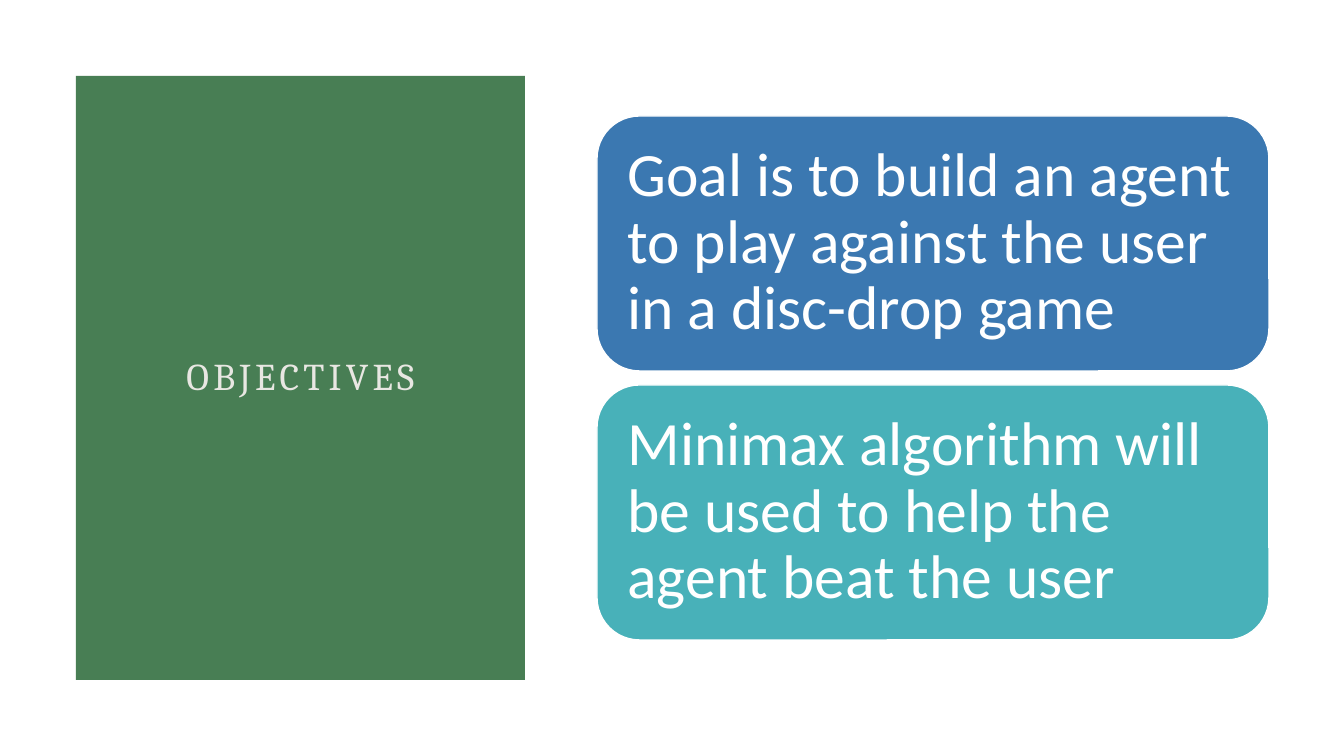
from pptx import Presentation
from pptx.dml.color import RGBColor
from pptx.enum.shapes import MSO_SHAPE
from pptx.enum.text import MSO_ANCHOR, MSO_AUTO_SIZE, PP_ALIGN
from pptx.util import Pt

COLORS = {"panel": "487E54", "title": "E8E7E2", "white": "FFFFFF",
          "blue": "3B78B1", "teal": "48B1B9"}
TITLE = "OBJECTIVES"
OBJECTIVES = [
    ("Goal is to build an agent to play against the user in a disc-drop game", "blue"),
    ("Minimax algorithm will be used to help the agent beat the user", "teal"),
]

EMU_PER_PX = 914400 / 100.8
SLIDE_W, SLIDE_H = 1344, 756
PANEL = (76, 76, 449, 604)
TITLE_PAD = 75
CARD_X, CARD_W, CARD_H, CARD_GAP = 597, 672, 255, 14
CARD_INSET = 18


def px(length):
    """Turn slide pixels into EMU."""
    return round(length * EMU_PER_PX)


def rgb(name):
    """Look up a named colour."""
    return RGBColor.from_string(COLORS[name])


def add_block(slide, shape_type, box, fill):
    """Add a flat filled shape without outline or shadow."""
    shape = slide.shapes.add_shape(shape_type, *map(px, box))
    shape.shadow.inherit = False
    shape.fill.solid()
    shape.fill.fore_color.rgb = rgb(fill)
    shape.line.fill.background()
    return shape


def write(frame, text, font, size, color, align):
    """Write one vertically centred paragraph and return its run."""
    frame.word_wrap = True
    frame.auto_size = MSO_AUTO_SIZE.NONE
    frame.vertical_anchor = MSO_ANCHOR.MIDDLE
    paragraph = frame.paragraphs[0]
    paragraph.alignment = align
    paragraph.line_spacing = 0.9
    run = paragraph.add_run()
    run.text = text
    run.font.name = font
    run.font.size = Pt(size)
    run.font.color.rgb = rgb(color)
    return run


def add_title(slide):
    """Place the title placeholder over its green panel."""
    panel = add_block(slide, MSO_SHAPE.RECTANGLE, PANEL, "panel")
    title = slide.shapes.title
    panel._element.addnext(title._element)
    x, y, w, h = PANEL
    title.left, title.top = px(x + TITLE_PAD), px(y + TITLE_PAD)
    title.width, title.height = px(w - 2 * TITLE_PAD), px(h - 2 * TITLE_PAD)
    run = write(title.text_frame, TITLE, "Cambria", 27, "title", PP_ALIGN.CENTER)
    run.font._element.set("spc", "300")


def add_card(slide, top, text, fill):
    """Add one rounded objective card."""
    card = add_block(slide, MSO_SHAPE.ROUNDED_RECTANGLE,
                     (CARD_X, top, CARD_W, CARD_H), fill)
    card.line.color.rgb = rgb("white")
    card.line.width = Pt(1)
    frame = card.text_frame
    frame.margin_left = frame.margin_right = px(CARD_INSET)
    frame.margin_top = frame.margin_bottom = px(CARD_INSET)
    write(frame, text, "Calibri", 44, "white", PP_ALIGN.LEFT)


prs = Presentation()
prs.slide_width, prs.slide_height = px(SLIDE_W), px(SLIDE_H)
slide = prs.slides.add_slide(prs.slide_layouts[5])
add_title(slide)

pitch = CARD_H + CARD_GAP
first_top = (SLIDE_H - len(OBJECTIVES) * pitch + CARD_GAP) // 2
for i, (text, fill) in enumerate(OBJECTIVES):
    add_card(slide, first_top + i * pitch, text, fill)

prs.save("out.pptx")
